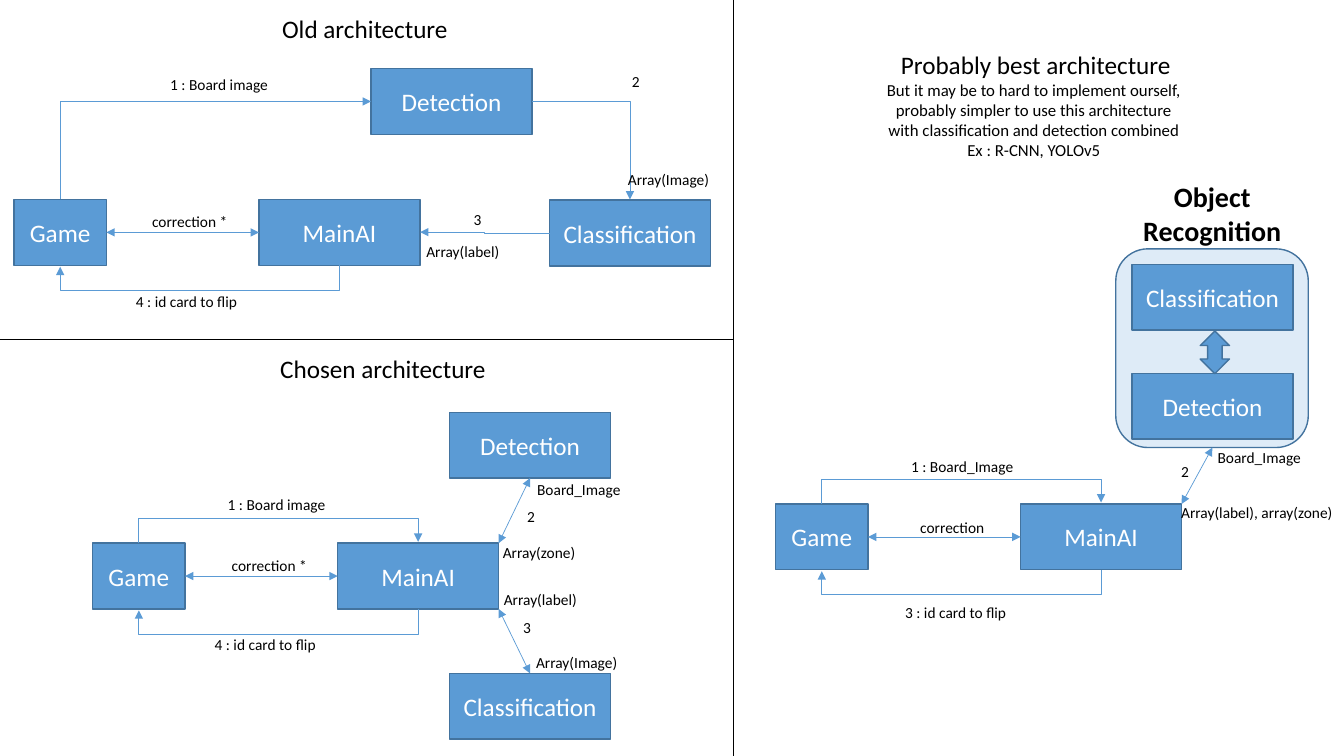
from pptx import Presentation
from pptx.dml.color import RGBColor
from pptx.enum.shapes import MSO_CONNECTOR, MSO_SHAPE
from pptx.enum.text import MSO_ANCHOR, MSO_AUTO_SIZE, PP_ALIGN
from pptx.oxml.ns import qn
from pptx.util import Pt
from lxml import etree

RECT, ROUND, ARROW = MSO_SHAPE.RECTANGLE, MSO_SHAPE.ROUNDED_RECTANGLE, MSO_SHAPE.LEFT_RIGHT_ARROW
STRAIGHT, ELBOW = MSO_CONNECTOR.STRAIGHT, MSO_CONNECTOR.ELBOW
LEFT, CENTER = PP_ALIGN.LEFT, PP_ALIGN.CENTER
MIDDLE, GROW = MSO_ANCHOR.MIDDLE, MSO_AUTO_SIZE.SHAPE_TO_FIT_TEXT
COLORS = {"blue": "5B9BD5", "edge": "43739E", "pale": "DEEBF7",
          "white": "FFFFFF", "black": "000000"}
FONT = "Calibri"
BOX_W, BOX_H, GAME_W = 115, 47, 66
MAIN_DX = 175  # from the left of Game to the left of MainAI
STUB = 18      # how far a loop arrow leaves its box


def rgb(name):
    return RGBColor.from_string(COLORS[name])


def add_run(p, text, size, color="black", bold=False):
    r = p.add_run()
    r.text = text
    r.font.name, r.font.size, r.font.bold = FONT, Pt(size), bold
    r.font.color.rgb = rgb(color)


def shape(s, kind, x, y, w, h, fill="blue"):
    sp = s.shapes.add_shape(kind, Pt(x), Pt(y), Pt(w), Pt(h))
    sp.shadow.inherit = False
    sp.fill.solid()
    sp.fill.fore_color.rgb = rgb(fill)
    sp.line.color.rgb = rgb("edge")
    sp.line.width = Pt(1)
    return sp


def box(s, text, x, y, w=BOX_W):
    tf = shape(s, RECT, x, y, w, BOX_H).text_frame
    tf.vertical_anchor = MIDDLE
    p = tf.paragraphs[0]
    p.alignment = CENTER
    add_run(p, text, 18, "white")


def text_box(s, lines, x, y, w, h, align=LEFT, wrap=False, bold=False):
    """lines holds (text, size) pairs, one per paragraph."""
    tf = s.shapes.add_textbox(Pt(x), Pt(y), Pt(w), Pt(h)).text_frame
    tf.word_wrap = wrap
    tf.auto_size = GROW
    for i, (text, size) in enumerate(lines):
        p = tf.add_paragraph() if i else tf.paragraphs[0]
        p.alignment = align
        add_run(p, text, size, bold=bold)


def labels(s, items):
    for text, x, y, w in items:
        text_box(s, [(text, 11)], x, y, w, 20.6)


def line(s, start, end, kind=STRAIGHT, color="blue", heads=("tailEnd",)):
    c = s.shapes.add_connector(kind, *map(Pt, start + end))
    c.line.color.rgb = rgb(color)
    c.line.width = Pt(0.5)
    for head in heads:
        etree.SubElement(c.line._get_or_add_ln(), qn("a:" + head), type="triangle")
    etree.SubElement(c._element.spPr, qn("a:effectLst"))
    return c


def two_way(s, start, end):
    line(s, start, end, heads=("headEnd", "tailEnd"))


def elbow(s, start, end, bends, rot=0, flip=False, adj=None):
    """Bent arrow; rot turns the frame, whose size is swapped at 90 degrees."""
    (x1, y1), (x2, y2) = start, end
    w, h = abs(x2 - x1), abs(y2 - y1)
    if rot == 90:
        w, h = h, w
    left, top = (x1 + x2 - w) / 2, (y1 + y2 - h) / 2
    c = line(s, (left, top), (left + w, top + h), ELBOW)
    xfrm = c._element.spPr.find(qn("a:xfrm"))
    xfrm.set("rot", str(rot * 60000))
    if flip:
        xfrm.set("flipH", "1")
        xfrm.set("flipV", "1")
    geom = c._element.spPr.find(qn("a:prstGeom"))
    geom.set("prst", f"bentConnector{bends + 1}")
    if adj:
        etree.SubElement(geom.find(qn("a:avLst")), qn("a:gd"),
                         name="adj1", fmla=f"val {adj * 100000}")


def game_and_main(s, x, y, image_loop=True):
    """Game and MainAI with the arrows between them."""
    main_x = x + MAIN_DX
    game_mid, main_mid = x + GAME_W / 2, main_x + BOX_W / 2
    box(s, "Game", x, y, GAME_W)
    box(s, "MainAI", main_x, y)
    two_way(s, (x + GAME_W, y + BOX_H / 2), (main_x, y + BOX_H / 2))
    bottom = y + BOX_H
    elbow(s, (main_mid, bottom), (game_mid, bottom + 1), 2, 90, adj=STUB)
    if image_loop:
        elbow(s, (game_mid, y), (main_mid, y - 1), 2, 90, True, STUB)


def old_architecture(s):
    x, y = 10, 142.5
    det_x, det_y, cls_x = 265, 49, 392.5
    det_mid = det_y + BOX_H / 2
    text_box(s, [("Old architecture", 18)], 194.4, 5.8, 134, 29)
    game_and_main(s, x, y, image_loop=False)
    box(s, "Detection", det_x, det_y)
    box(s, "Classification", cls_x, y + 0.5)
    elbow(s, (x + GAME_W / 2, y), (det_x, det_mid), 1, 90, True)
    elbow(s, (det_x + BOX_W, det_mid), (cls_x + BOX_W / 2, y), 1)
    elbow(s, (cls_x, y + 24), (x + MAIN_DX + BOX_W, y + 23.3), 2, 180, adj=0.5 and None)
    labels(s, [("1 : Board image", 114.5, 50.4, 85), ("2", 444.2, 48.2, 20.2),
               ("3", 331.2, 146.2, 20.2), ("4 : id card to flip", 90, 205.2, 87.8),
               ("correction * ", 101.5, 148.3, 71.3),
               ("Array(Image)", 441.4, 118.1, 73.4), ("Array(label)", 297.4, 169.2, 67.7)])


def chosen_architecture(s):
    x, y = 66.2, 388
    part_x, det_y, cls_y = 321.1, 294.5, 481
    main_right, part_mid = x + MAIN_DX + BOX_W, part_x + BOX_W / 2
    text_box(s, [("Chosen architecture", 18)], 192.2, 249.1, 162.7, 29, CENTER)
    game_and_main(s, x, y)
    box(s, "Detection", part_x, det_y)
    box(s, "Classification", part_x, cls_y)
    two_way(s, (main_right, y), (part_mid, det_y + BOX_H))
    two_way(s, (main_right, y + BOX_H), (part_mid, cls_y))
    labels(s, [("1 : Board image", 155.5, 349.9, 85), ("2", 369.4, 358.6, 20.2),
               ("3", 366.5, 437.8, 20.2), ("4 : id card to flip", 146.2, 450, 87.8),
               ("correction *", 158.4, 393.8, 69.1), ("Board_Image", 376.6, 339.1, 74.9),
               ("Array(zone)", 352.1, 384.5, 67.7), ("Array(Image)", 375.8, 463, 73.4),
               ("Array(label)", 352.8, 418.3, 67.7)])


def best_architecture(s):
    x, y = 554, 360
    part_x = 808.6
    text_box(s, [("Probably best architecture", 18),
                 ("But it may be to hard to implement ourself, ", 12),
                 ("probably simpler to use this architecture ", 12),
                 ("with classification and detection combined ", 12),
                 ("Ex : R-CNN, YOLOv5 ", 12)], 625, 31.7, 229.7, 87.1, CENTER)
    # Object recognition group
    shape(s, ROUND, 797, 177.8, 137.5, 141.9, "pale")
    text_box(s, [("Object Recognition", 20)], 805, 124.6, 121.7, 55.4, CENTER, True, True)
    box(s, "Classification", part_x, 188.8)
    box(s, "Detection", part_x, 266.6)
    shape(s, ARROW, 852.5, 241.2, 30.5, 20.9).rotation = 90
    # Game loop
    game_and_main(s, x, y)
    two_way(s, (x + MAIN_DX + BOX_W, y), (866, 319.7))
    labels(s, [("1 : Board_Image", 643.7, 322.6, 88.6), ("2", 836.6, 326.2, 20.2),
               ("correction", 650.2, 366.5, 61.2), ("3 : id card to flip", 639.4, 427, 87.8),
               ("Array(label), array(zone)", 836.6, 355.7, 127.4),
               ("Board_Image", 862.6, 316.8, 74.9)])


def main():
    prs = Presentation()
    prs.slide_width, prs.slide_height = Pt(960), Pt(540)
    s = prs.slides.add_slide(prs.slide_layouts[6])
    old_architecture(s)
    chosen_architecture(s)
    best_architecture(s)
    # Dividers between the three panels
    line(s, (524, 0), (524, 540), color="black", heads=())
    line(s, (524, 242.6), (0, 242.6), color="black", heads=())
    prs.save("out.pptx")


if __name__ == "__main__":
    main()
